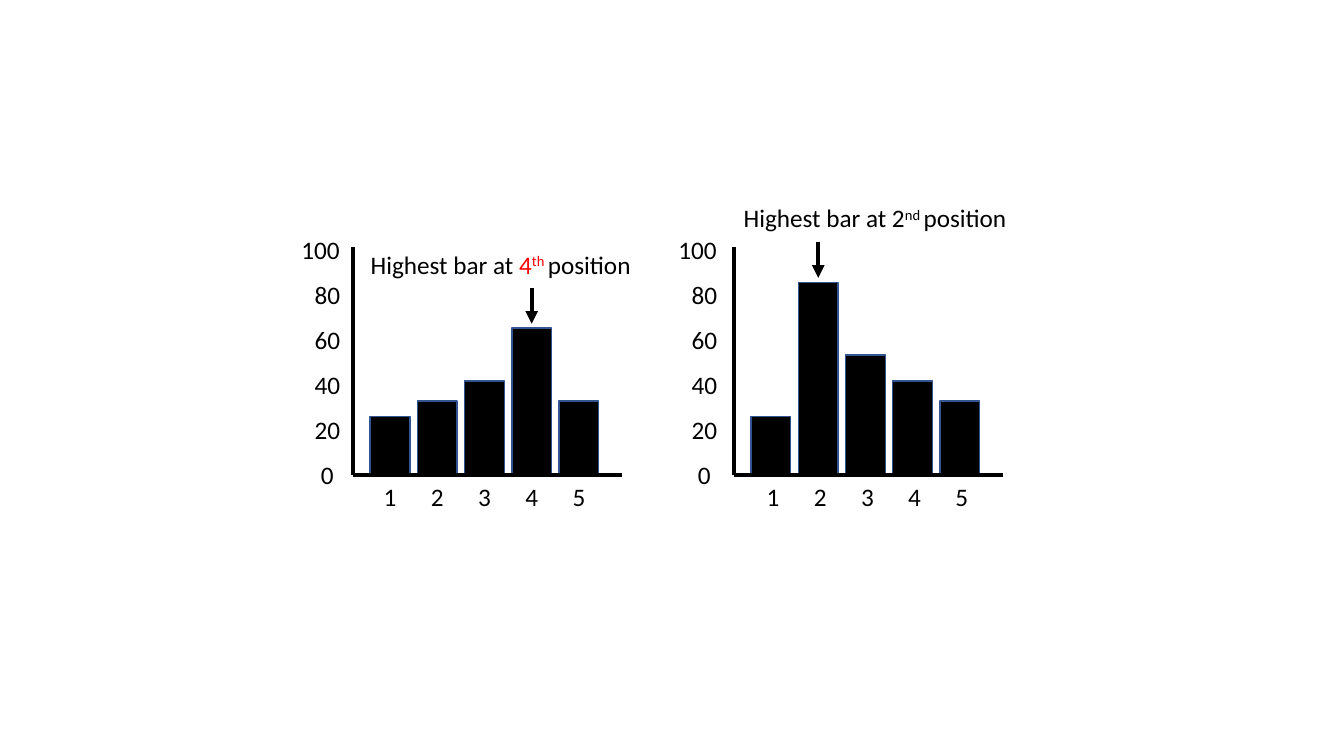
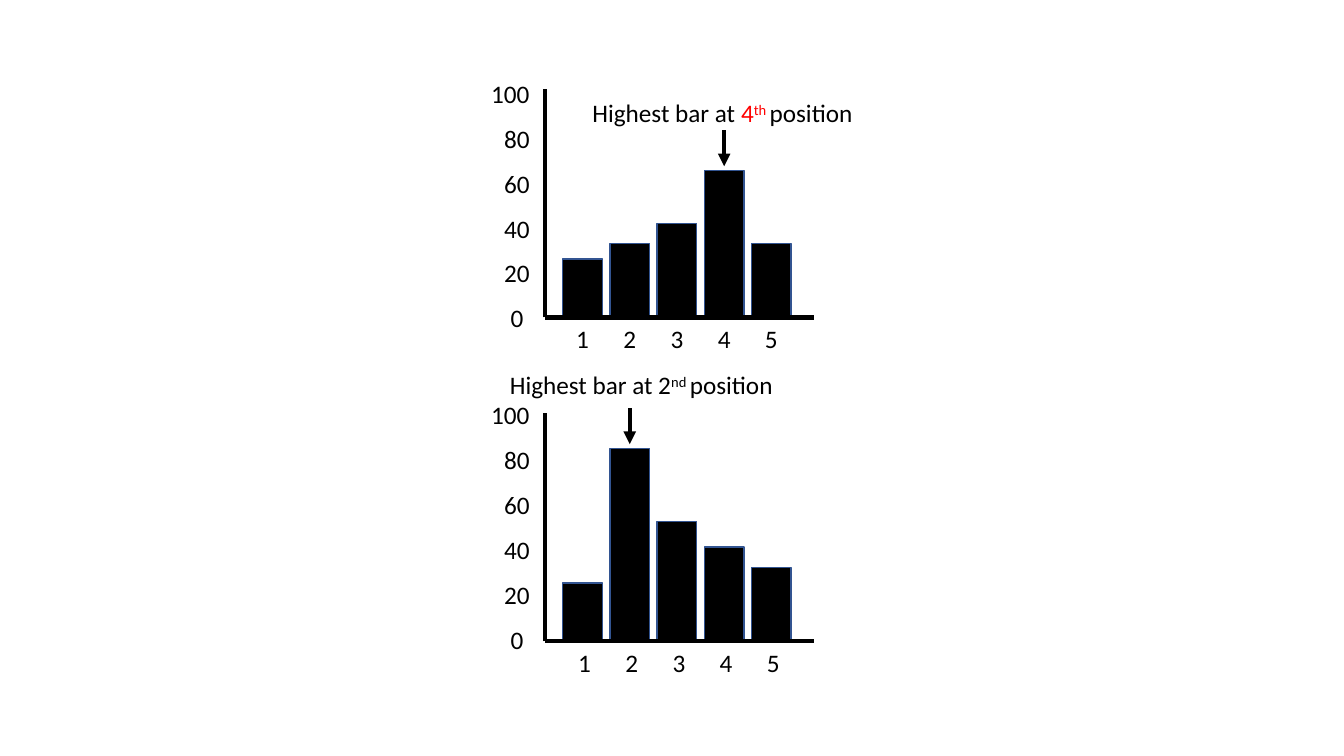
import pptx
import pptx.dml.color
import pptx.enum.shapes
import pptx.enum.text
import pptx.oxml
import pptx.oxml.ns
import pptx.util
from pptx.util import Cm

INK = "000000"
ACCENT = "FF0000"
BAR_EDGE = "325491"

AXIS_WIDTH, AXIS_HEIGHT = 6.78, 5.75
BAR_WIDTH, BAR_PITCH, FIRST_BAR = 1.0, 1.19, 0.44
SCALE_STEP, SCALE_MAX = 20, 100
STEP_HEIGHT = 1.13
LABEL_HEIGHT = 1.02
ARROW_LENGTH, ARROW_GAP = 0.91, 0.11


def color(hex_value):
    return pptx.dml.color.RGBColor.from_string(hex_value)


def add_run(paragraph, text, size=18, font="Calibri", ink=INK, raised=False):
    run = paragraph.add_run()
    run.text = text
    run.font.size = pptx.util.Pt(size)
    run.font.name = font
    run.font.color.rgb = color(ink)
    if raised:
        run.font._element.set("baseline", "30000")


class Deck:
    def __init__(self):
        self.presentation = pptx.Presentation()
        self.presentation.slide_width = Cm(33.87)
        self.presentation.slide_height = Cm(19.05)
        self.slide = None
        self.group = None

    def new_slide(self):
        self.slide = self.presentation.slides.add_slide(self.presentation.slide_layouts[6])

    def line(self, start, end, arrow=False):
        connector = self.group.add_connector(
            pptx.enum.shapes.MSO_CONNECTOR.STRAIGHT, *map(Cm, start + end))
        connector.line.color.rgb = color(INK)
        connector.line.width = pptx.util.Pt(3)
        if arrow:
            head = pptx.oxml.parse_xml(
                f'<a:tailEnd {pptx.oxml.ns.nsdecls("a")} type="triangle"/>')
            connector.line._get_or_add_ln().append(head)
        connector._element.spPr.append(
            pptx.oxml.parse_xml(f'<a:effectLst {pptx.oxml.ns.nsdecls("a")}/>'))

    def bar(self, left, base, height):
        bar = self.group.add_shape(
            pptx.enum.shapes.MSO_SHAPE.RECTANGLE,
            Cm(left), Cm(base - height), Cm(BAR_WIDTH), Cm(height))
        bar.shadow.inherit = False
        bar.fill.solid()
        bar.fill.fore_color.rgb = color(INK)
        bar.line.color.rgb = color(BAR_EDGE)
        bar.line.width = pptx.util.Pt(1)

    def text(self, left, top, width, runs, centered=True, wrap=True):
        box = self.group.add_textbox(Cm(left), Cm(top), Cm(width), Cm(LABEL_HEIGHT))
        box.text_frame.word_wrap = wrap
        box.text_frame.auto_size = pptx.enum.text.MSO_AUTO_SIZE.SHAPE_TO_FIT_TEXT
        paragraph = box.text_frame.paragraphs[0]
        align = pptx.enum.text.PP_ALIGN
        paragraph.alignment = align.CENTER if centered else align.LEFT
        for words, style in runs:
            add_run(paragraph, words, **style)

    def label(self, center, top, width, value):
        self.text(center - width / 2, top, width, [(str(value), {})])

    def bar_diagram(self, origin, values, caption, caption_at, caption_width,
                    scale_gap, scale_rise, category_shift=0):
        self.group = self.slide.shapes.add_group_shape().shapes
        x, base = origin
        heights = [value * STEP_HEIGHT / SCALE_STEP for value in values]
        lefts = [x + FIRST_BAR + i * BAR_PITCH for i in range(len(values))]
        for left, height in zip(lefts, heights):
            self.bar(left, base, height)
        self.line(origin, (x + AXIS_WIDTH, base))
        self.line(origin, (x, base - AXIS_HEIGHT))
        for position, left in enumerate(lefts, 1):
            self.label(left + BAR_WIDTH / 2 + category_shift, base + 0.03, 0.84, position)
        for step, value in enumerate(range(0, SCALE_MAX + 1, SCALE_STEP)):
            extra = 0.17 if value == SCALE_MAX else 0
            self.label(x - scale_gap - extra, base - scale_rise - step * STEP_HEIGHT,
                       1.47 + 1.65 * extra, value)
        peak = heights.index(max(heights))
        center = lefts[peak] + BAR_WIDTH / 2
        tip = base - heights[peak] - ARROW_GAP
        self.line((center, tip - ARROW_LENGTH), (center, tip), arrow=True)
        self.text(*caption_at, caption_width, caption, centered=False, wrap=False)


def main():
    fourth_peak = dict(
        values=(26, 33, 42, 65.5, 33),
        caption=[("Highest bar at ", {}), ("4", {"ink": ACCENT}),
                 ("th ", {"ink": ACCENT, "raised": True}), ("position", {})],
        caption_width=7.21)
    second_peak = dict(
        values=(26, 86, 53.5, 42, 33),
        caption=[("Highest bar at 2", {}), ("nd ", {"raised": True}), ("position", {})],
        caption_width=7.29, category_shift=0.05)

    deck = Deck()
    deck.new_slide()
    deck.bar_diagram((8.89, 11.97), caption_at=(9.09, 6.15),
                     scale_gap=0.64, scale_rise=0.53, **fourth_peak)
    deck.bar_diagram((18.49, 11.97), caption_at=(18.49, 4.98),
                     scale_gap=0.74, scale_rise=0.53, **second_peak)
    deck.new_slide()
    deck.bar_diagram((13.74, 8), caption_at=(14.68, 2.34),
                     scale_gap=0.71, scale_rise=0.5, **fourth_peak)
    deck.bar_diagram((13.74, 16.16), caption_at=(12.6, 9.19),
                     scale_gap=0.71, scale_rise=0.56, **second_peak)
    deck.presentation.save("out.pptx")


if __name__ == "__main__":
    main()
